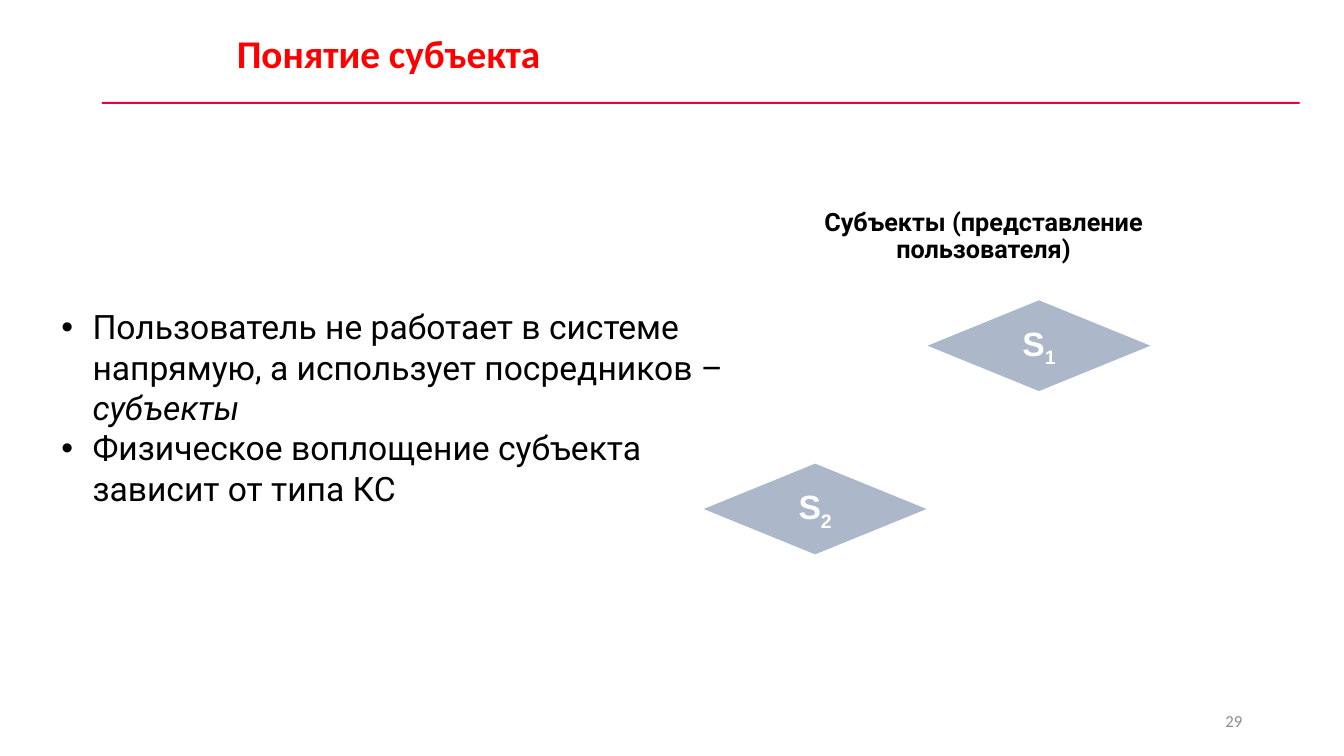
from lxml.etree import SubElement
from pptx import Presentation
from pptx.dml.color import RGBColor
from pptx.enum.shapes import MSO_SHAPE as Shape
from pptx.enum.text import MSO_ANCHOR as Anchor, PP_ALIGN as Align
from pptx.oxml.ns import qn
from pptx.util import Inches, Pt

RED = RGBColor(0xFF, 0x00, 0x00)
CRIMSON = RGBColor(0xE2, 0x04, 0x43)
GRAY = RGBColor(0x8C, 0x8C, 0x8C)
BLUE_GRAY = RGBColor(0xAC, 0xB8, 0xCA)
WHITE = RGBColor(0xFF, 0xFF, 0xFF)
BLACK = RGBColor(0x00, 0x00, 0x00)

presentation = Presentation()
presentation.slide_width = Inches(13.33)
presentation.slide_height = Inches(7.5)
slide = presentation.slides.add_slide(presentation.slide_layouts[6])


def write(shape, *paragraphs, size, font, color, bold=False, align=Align.LEFT,
          anchor=Anchor.TOP, spacing=None, bullet=None):
    """Fill a shape with paragraphs, each a list of (text, style) runs;
    style is "", "italic" or "subscript"."""
    frame = shape.text_frame
    frame.word_wrap = True
    frame.vertical_anchor = anchor
    for index, runs in enumerate(paragraphs):
        paragraph = frame.add_paragraph() if index else frame.paragraphs[0]
        paragraph.alignment = align
        if spacing:
            paragraph.line_spacing = spacing
        if bullet:
            properties = paragraph._p.get_or_add_pPr()
            properties.set("marL", str(Inches(0.31)))
            properties.set("indent", str(-Inches(0.31)))
            SubElement(properties, qn("a:buFont"), typeface="Arial")
            SubElement(properties, qn("a:buChar"), char=bullet)
        for text, style in runs:
            run = paragraph.add_run()
            run.text = text
            run.font.size = Pt(size)
            run.font.name = font
            run.font.color.rgb = color
            run.font.bold = bold
            run.font.italic = style == "italic"
            if style == "subscript":
                run.font._element.set("baseline", "-25000")


def add_filled(kind, left, top, width, height, color):
    shape = slide.shapes.add_shape(
        kind, Inches(left), Inches(top), Inches(width), Inches(height))
    shape.shadow.inherit = False
    shape.fill.solid()
    shape.fill.fore_color.rgb = color
    shape.line.fill.background()
    return shape


add_filled(Shape.RECTANGLE, 1.01, 1.01, 11.88, 0.02, CRIMSON)

title = slide.shapes.add_textbox(Inches(2.25), Inches(0.24), Inches(10.71), Inches(0.57))
write(title, [("Понятие субъекта", "")], size=28, font="Calibri", color=RED, bold=True)

page_number = slide.shapes.add_textbox(Inches(9.42), Inches(6.95), Inches(3), Inches(0.4))
write(page_number, [("29", "")], size=12, font="Calibri", color=GRAY,
      align=Align.RIGHT, anchor=Anchor.MIDDLE)

for number, left, top in (("1", 9.2, 2.98), ("2", 6.98, 4.6)):
    subject = add_filled(Shape.FLOWCHART_DECISION, left, top, 2.21, 0.9, BLUE_GRAY)
    write(subject, [("S", ""), (number, "subscript")], size=24, font="Arial",
          color=WHITE, bold=True, align=Align.CENTER, anchor=Anchor.MIDDLE)

heading = slide.shapes.add_textbox(Inches(7.33), Inches(2.03), Inches(4.85), Inches(0.37))
write(heading, [("Субъекты (представление пользователя)", "")], size=18, font="Roboto",
      color=BLACK, bold=True, align=Align.CENTER, spacing=0.9)

body = slide.shapes.add_textbox(Inches(0.51), Inches(2.99), Inches(6.83), Inches(2.12))
write(body,
      [("Пользователь не работает в системе напрямую, а использует посредников – ", ""),
       ("субъекты", "italic")],
      [("Физическое воплощение субъекта зависит от типа КС", "")],
      size=24, font="Roboto", color=BLACK, bullet="•")

presentation.save("out.pptx")
